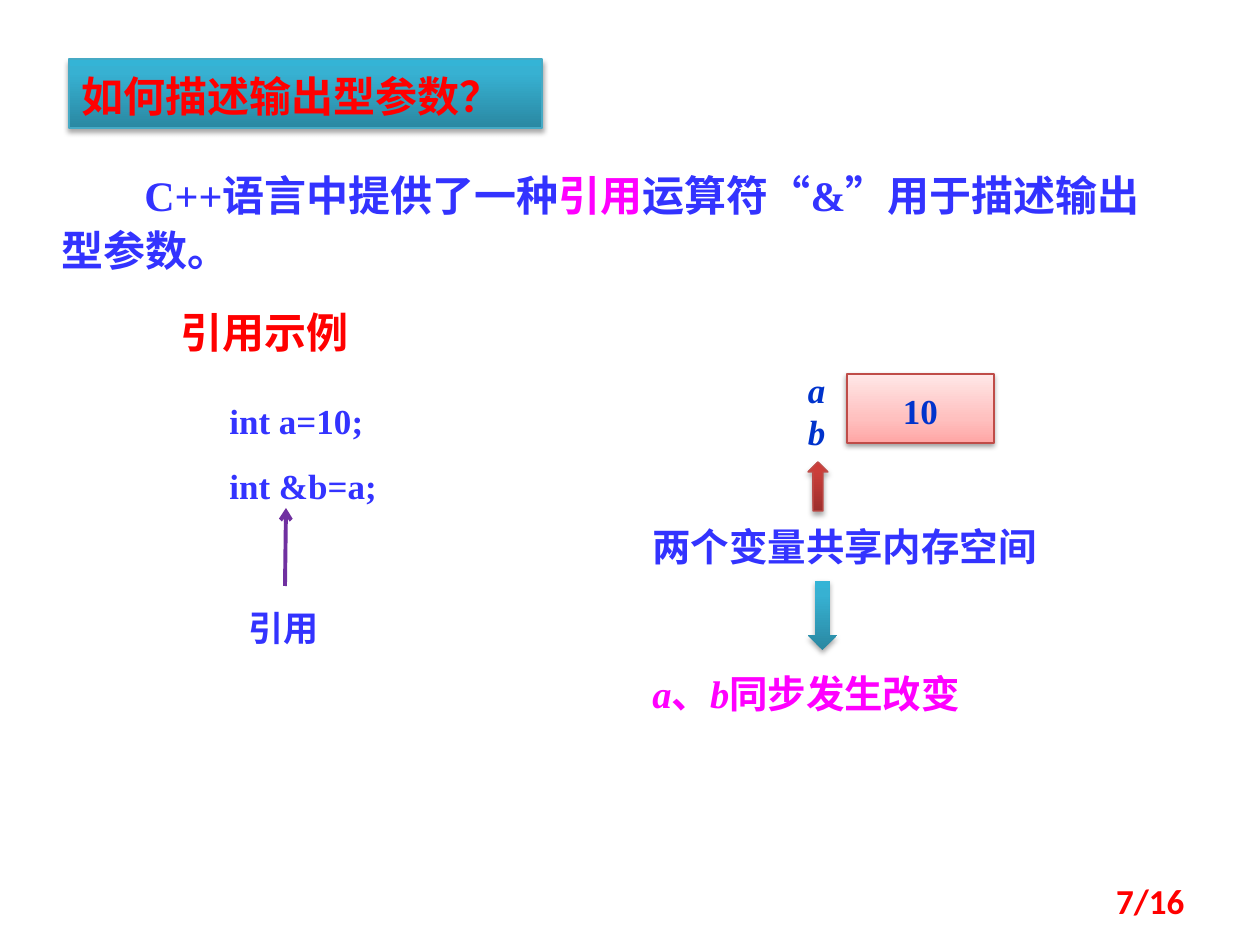
from lxml import etree
from pptx import Presentation, util as u
from pptx.dml.color import RGBColor
from pptx.enum import shapes, text
from pptx.oxml import parse_xml
from pptx.oxml.ns import qn

NS = 'xmlns:a="http://schemas.openxmlformats.org/drawingml/2006/main"'
TIMES, SANS, CALIBRI = "Times New Roman", "Noto Sans CJK SC", "Calibri"
BLUE, NAVY, RED, PINK, PURPLE = "3333FF", "0033CC", "FF0000", "FF00FF", "7030A0"
TEAL = [(0, "2A88A2"), (80, "37B1D2"), (100, "34B4D6")]
BRICK = [(0, "9C2F2D"), (80, "CB3E3A"), (100, "CE3B37")]
ROSE = [(0, "FFA6A5"), (35, "FFC0BF"), (100, "FFE7E7")]

TITLE = ((69, 59, 473, 69), [[("如何描述输出型参数？", RED)]], CALIBRI, 24)
INTRO = ((49, 158, 1123, 125),
         [[("C++语言中提供了一种", BLUE), ("引用", PINK),
           ("运算符“&”用于描述输出型参数。", BLUE)]], TIMES, 24)
LABELS = [
    ((217, 389, 246, 127), [[("int a=10;", BLUE)], [("int &b=a;", BLUE)]], TIMES, 20),
    ((236, 596, 108, 54), [[("引用", BLUE)]], SANS, 20),
    ((168, 295, 217, 64), [[("引用示例", RED)]], SANS, 24),
    ((640, 512, 444, 58), [[("两个变量共享内存空间", BLUE)]], SANS, 22),
    ((640, 659, 374, 64),
     [[("a", PINK, True), ("、", PINK), ("b", PINK, True), ("同步发生改变", PINK)]],
     TIMES, 22),
]
VARIABLES = [((808, 364, 29, 47), "a"), ((808, 406, 29, 43), "b")]
CELL = ((847, 374, 147, 69), [[("10", NAVY)]], TIMES, 20)
ARROWS = [
    (shapes.MSO_SHAPE.UP_ARROW, (808, 462, 20, 49), BRICK, "BF4C48"),
    (shapes.MSO_SHAPE.DOWN_ARROW, (808, 581, 29, 69), TEAL, None),
]
POINTER = (285, 586, 286, 508)
PAGE = ((903, 876, 294, 50), [[("7/16", RED)]], CALIBRI, 20)


def px(n):
    return u.Emu(round(n * 914400 / 126))


def rgb(c):
    return RGBColor.from_string(c)


def shadow(blur, dist, alpha):
    return parse_xml(
        f'<a:effectLst {NS}><a:outerShdw blurRad="{u.Pt(blur)}" dist="{u.Pt(dist)}" '
        f'dir="5400000" rotWithShape="0"><a:srgbClr val="000000">'
        f'<a:alpha val="{alpha * 1000}"/></a:srgbClr></a:outerShdw></a:effectLst>')


def decorate(sp, stops, line, dist=1.8, alpha=35):
    sp.fill.gradient()
    gs = sp._element.spPr.find(qn("a:gradFill"))
    xml = "".join(f'<a:gs pos="{pos * 1000}"><a:srgbClr val="{c}"/></a:gs>'
                  for pos, c in stops)
    gs.replace(gs.find(qn("a:gsLst")), parse_xml(f"<a:gsLst {NS}>{xml}</a:gsLst>"))
    gs.find(qn("a:lin")).set("ang", "16200000")
    if line:
        sp.line.color.rgb = rgb(line)
        sp.line.width = u.Pt(0.75)
    else:
        sp.line.fill.background()
    sp._element.spPr.append(shadow(3.1, dist, alpha))


def write(sp, paragraphs, font, size, align=text.PP_ALIGN.LEFT,
          anchor=text.MSO_ANCHOR.TOP, spacing=1.1):
    tf = sp.text_frame
    tf.word_wrap = True
    tf.auto_size = text.MSO_AUTO_SIZE.NONE
    tf.vertical_anchor = anchor
    for i, runs in enumerate(paragraphs):
        p = tf.add_paragraph() if i else tf.paragraphs[0]
        p.alignment = align
        p.line_spacing = spacing
        p.space_before = u.Pt(size * 0.55 if i else 0)
        p.font.name, p.font.size, p.font.bold = font, u.Pt(size), True
        ea = etree.SubElement(p.font._element, qn("a:ea"))
        ea.set("typeface", SANS)
        for words, color, *italic in runs:
            r = p.add_run()
            r.text = words
            r.font.color.rgb = rgb(color)
            if italic:
                r.font.italic = True
    return tf


def add_text(s, box, *content, **options):
    sp = s.shapes.add_textbox(*map(px, box))
    return write(sp, *content, **options)


def main():
    prs = Presentation()
    prs.slide_width, prs.slide_height = u.Inches(10), u.Inches(7.5)
    s = prs.slides.add_slide(prs.slide_layouts[5])

    box, *content = TITLE
    sp = s.shapes.title
    sp.left, sp.top, sp.width, sp.height = map(px, box)
    decorate(sp, TEAL, "46AAC5")
    write(sp, *content)

    p = add_text(s, *INTRO).paragraphs[0]
    p._p.get_or_add_pPr().set("indent", str(px(83)))
    for r in p.runs:
        r.font.fill._xPr.find(qn("a:solidFill")).addnext(shadow(3, 3, 40))

    for label in LABELS:
        add_text(s, *label)
    for box, name in VARIABLES:
        tf = add_text(s, box, [[(name, NAVY, True)]], TIMES, 20)
        tf.margin_left = tf.margin_right = tf.margin_top = tf.margin_bottom = 0

    box, *content = CELL
    sp = s.shapes.add_shape(shapes.MSO_SHAPE.RECTANGLE, *map(px, box))
    decorate(sp, ROSE, "BF4C48", 1.6, 38)
    write(sp, *content, align=text.PP_ALIGN.CENTER, anchor=text.MSO_ANCHOR.MIDDLE)

    for kind, box, stops, line in ARROWS:
        decorate(s.shapes.add_shape(kind, *map(px, box)), stops, line)

    ln = s.shapes.add_connector(shapes.MSO_CONNECTOR.STRAIGHT, *map(px, POINTER))
    ln.line.color.rgb = rgb(PURPLE)
    ln.line.width = u.Pt(2.25)
    etree.SubElement(ln.line._get_or_add_ln(), qn("a:tailEnd")).set("type", "arrow")
    etree.SubElement(ln._element.spPr, qn("a:effectLst"))

    add_text(s, *PAGE, align=text.PP_ALIGN.RIGHT,
             anchor=text.MSO_ANCHOR.MIDDLE, spacing=1)
    prs.save("out.pptx")


if __name__ == "__main__":
    main()
